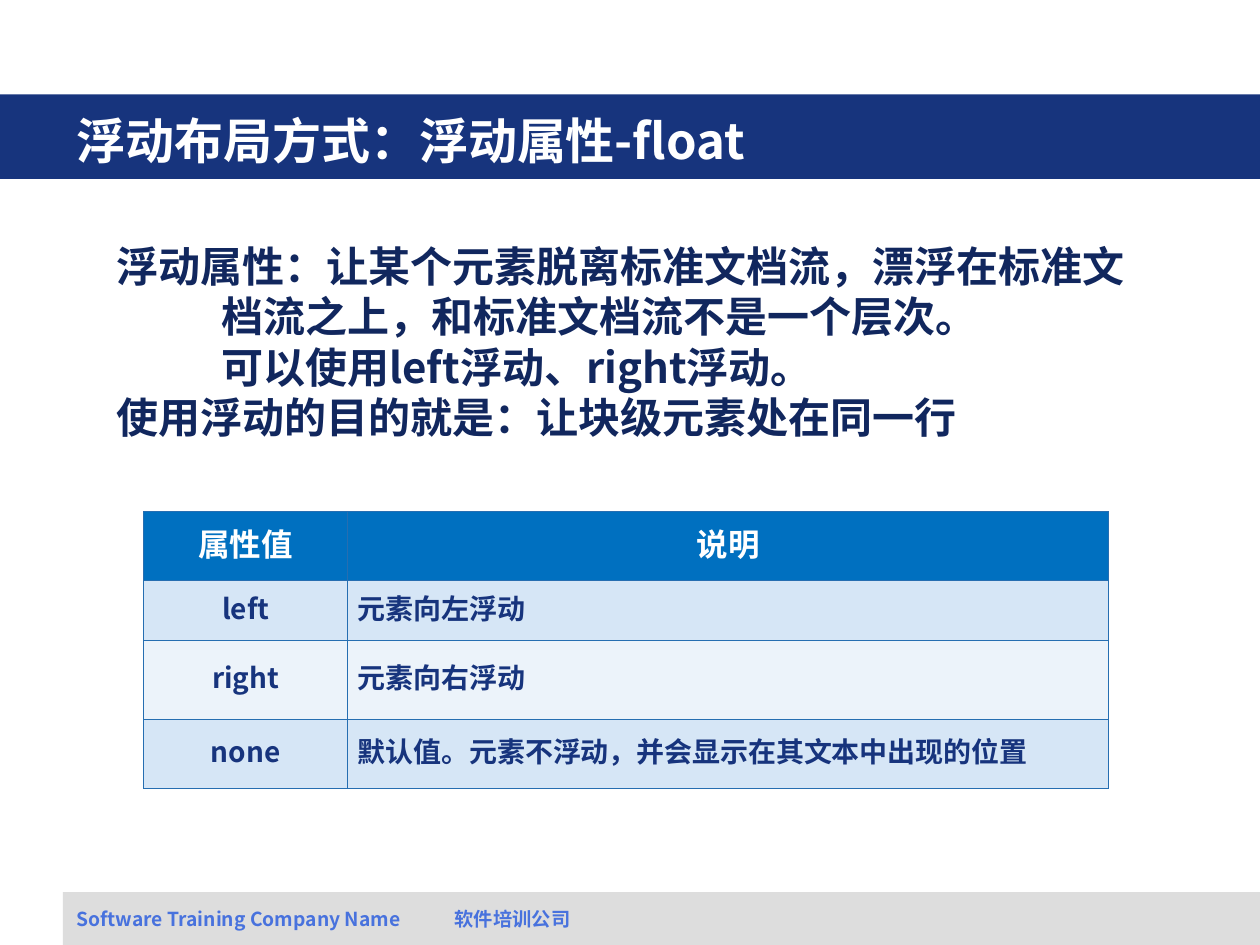
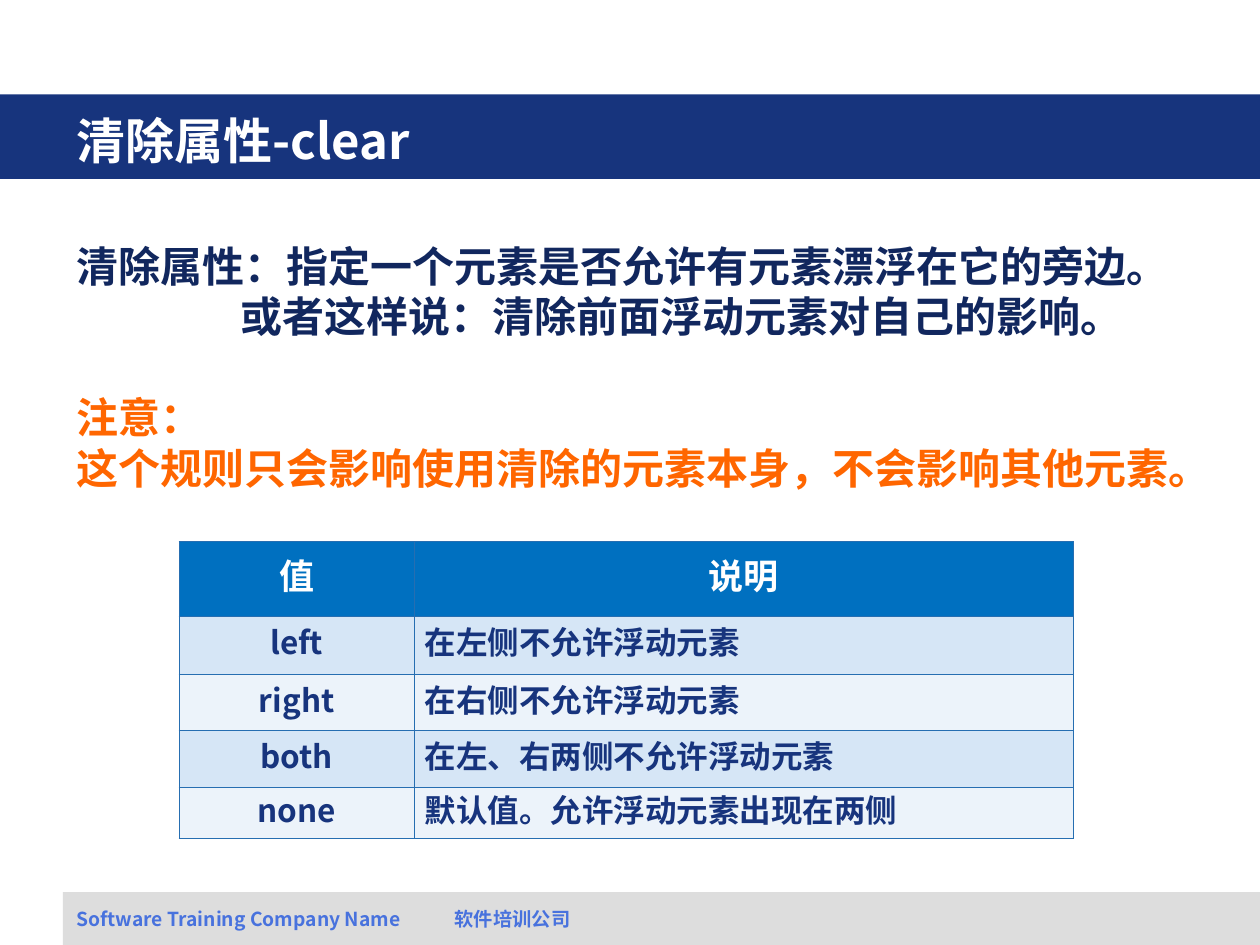
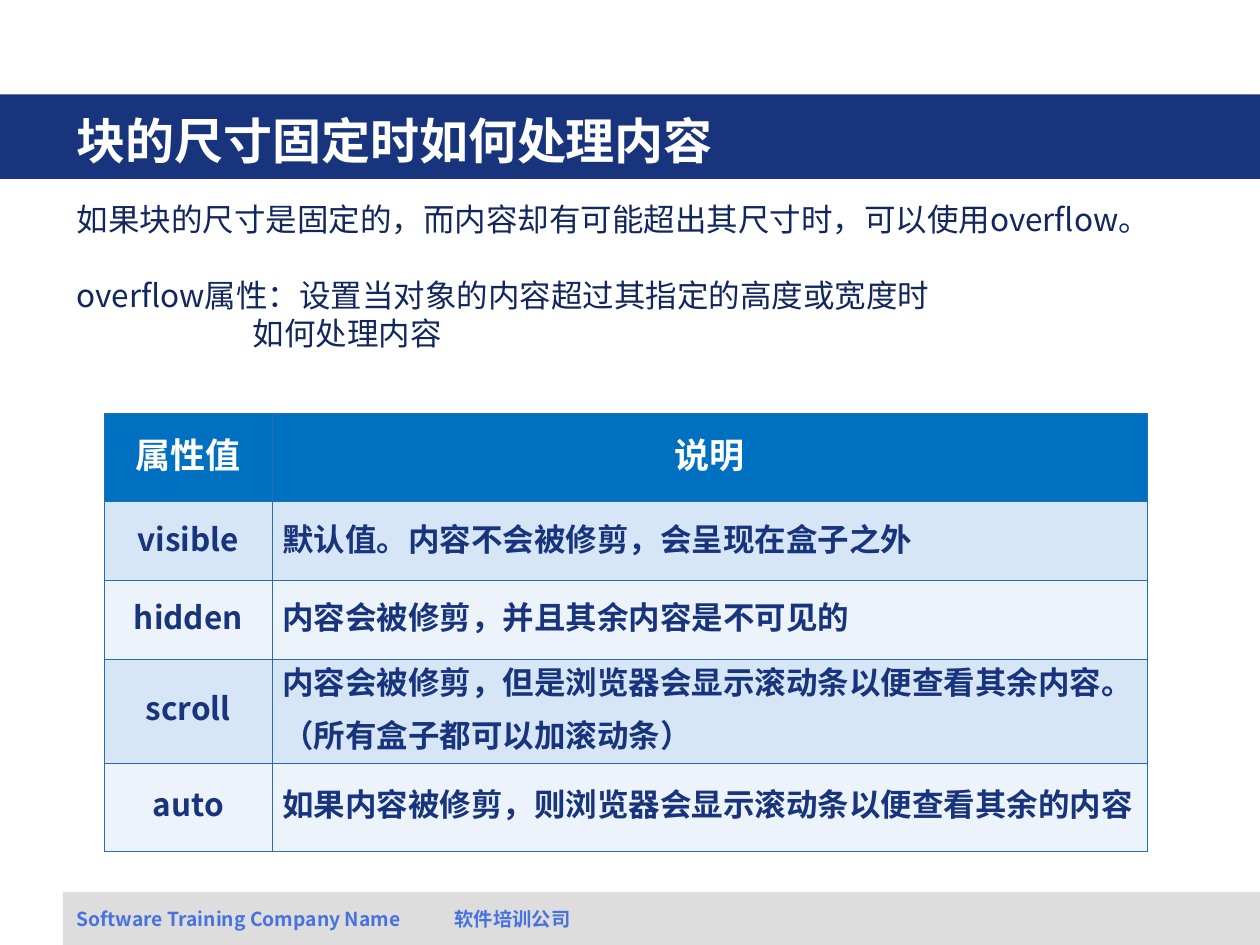
from lxml.etree import SubElement
from pptx import Presentation
from pptx.dml.color import RGBColor
from pptx.enum.shapes import MSO_SHAPE
from pptx.enum.text import MSO_ANCHOR, PP_ALIGN
from pptx.oxml.ns import qn
from pptx.util import Inches, Pt

# The slide is a grid of 10 columns by 7.5 rows, one inch each.
COLUMNS, ROWS = 10, 7.5
MARGIN = 0.51
TEXT_WIDTH = 9.13
FONT = "Noto Sans CJK SC"
LINE_HEIGHT = 1.2

NAVY = "17347D"
INK = "11275E"
WHITE = "FFFFFF"
GREY = "DDDDDD"
FOOTER_BLUE = "4872DD"
ORANGE = "FF6600"
HEADER_BLUE = "0070C0"
BORDER_BLUE = "266EB1"
STRIPES = ("D6E6F6", "ECF3FA")
FOOTER = "Software Training Company Name\t软件培训公司"


def rgb(color):
    return RGBColor.from_string(color)


def box(left, top, width, height):
    return [Inches(length) for length in (left, top, width, height)]


def write(paragraph, text, size=18, color=INK, bold=True, align=PP_ALIGN.LEFT,
          before=0, left=0, first=0, tab=None):
    """Fill a paragraph; left, first and tab are in grid columns, before in points."""
    paragraph.alignment = align
    paragraph.line_spacing = Pt(size * LINE_HEIGHT)
    paragraph.space_before = Pt(before)
    properties = paragraph._p.get_or_add_pPr()
    properties.set("marL", str(Inches(left)))
    properties.set("indent", str(Inches(first)))
    if tab:
        stops = SubElement(properties, qn("a:tabLst"))
        SubElement(stops, qn("a:tab"), pos=str(Inches(tab)), algn="l")
    run = paragraph.add_run()
    run.text = text
    font = run.font
    font.size, font.bold, font.name = Pt(size), bold, FONT
    font.color.rgb = rgb(color)
    SubElement(run._r.get_or_add_rPr(), qn("a:ea"), typeface=FONT)


def add_text(slide, place, lines, anchor=MSO_ANCHOR.TOP, **shared):
    """Add a text box; each line is a pair of text and its own format."""
    frame = slide.shapes.add_textbox(*box(*place)).text_frame
    frame.word_wrap = True
    frame.vertical_anchor = anchor
    for number, (text, own) in enumerate(lines):
        paragraph = frame.add_paragraph() if number else frame.paragraphs[0]
        write(paragraph, text, **{**shared, **own})


def add_band(slide, place, color):
    band = slide.shapes.add_shape(MSO_SHAPE.RECTANGLE, *box(*place))
    band.shadow.inherit = False
    band.fill.solid()
    band.fill.fore_color.rgb = rgb(color)
    band.line.fill.background()


def add_slide(presentation, title):
    slide = presentation.slides.add_slide(presentation.slide_layouts[6])
    add_band(slide, (0.5, 7.08, COLUMNS - 0.5, ROWS - 7.08), GREY)
    add_band(slide, (0, 0.75, COLUMNS, 0.67), NAVY)
    add_text(slide, (MARGIN, 0.8, 8.85, 0.62), [(title, {})],
             anchor=MSO_ANCHOR.MIDDLE, size=28, color=WHITE)
    add_text(slide, (MARGIN, 7.15, TEXT_WIDTH, 0.29), [(FOOTER, {})],
             size=11, color=FOOTER_BLUE, tab=2.69)
    return slide


def draw_borders(cell):
    properties = cell._tc.get_or_add_tcPr()
    for position, side in enumerate(("lnL", "lnR", "lnT", "lnB")):
        line = properties.makeelement(qn(f"a:{side}"), {"w": str(Pt(0.45))})
        fill = SubElement(line, qn("a:solidFill"))
        SubElement(fill, qn("a:srgbClr"), val=BORDER_BLUE)
        properties.insert(position, line)


def fill_cell(cell, text, fill, size, **style):
    cell.fill.solid()
    cell.fill.fore_color.rgb = rgb(fill)
    cell.vertical_anchor = MSO_ANCHOR.MIDDLE
    cell.margin_left = cell.margin_right = Inches(0.08)
    cell.margin_top = cell.margin_bottom = Inches(0.05)
    frame = cell.text_frame
    for number, line in enumerate(text.split("\n")):
        paragraph = frame.add_paragraph() if number else frame.paragraphs[0]
        write(paragraph, line, size=size, before=size / 4 * (number + 1), **style)
    draw_borders(cell)


def add_value_table(slide, left, top, widths, heights, rows, size):
    """Add a table of values and their meaning, under a header two points larger."""
    place = box(left, top, sum(widths), sum(heights))
    table = slide.shapes.add_table(len(rows), len(widths), *place).table
    table.first_row = table.horz_banding = False
    for column, width in zip(table.columns, widths):
        column.width = Inches(width)
    for row, height in zip(table.rows, heights):
        row.height = Inches(height)
    for row_number, texts in enumerate(rows):
        header = row_number == 0
        fill = HEADER_BLUE if header else STRIPES[(row_number - 1) % 2]
        for column_number, text in enumerate(texts):
            centred = header or column_number == 0
            fill_cell(table.cell(row_number, column_number), text, fill,
                      size + 2 if header else size,
                      color=WHITE if header else NAVY,
                      align=PP_ALIGN.CENTER if centred else PP_ALIGN.LEFT)


def add_float_slide(presentation):
    slide = add_slide(presentation, "浮动布局方式：浮动属性-float")
    continued = {"left": 0.83}
    add_text(slide, (0.83, 1.86, 8.27, 2.1), [
        ("浮动属性：让某个元素脱离标准文档流，漂浮在标准文", {}),
        ("档流之上，和标准文档流不是一个层次。", continued),
        ("可以使用left浮动、right浮动。", continued),
        ("使用浮动的目的就是：让块级元素处在同一行", {}),
    ], size=24)
    add_value_table(slide, 1.14, 4.06, (1.62, 6.04), (0.55, 0.47, 0.63, 0.55), [
        ("属性值", "说明"),
        ("left", "元素向左浮动"),
        ("right", "元素向右浮动"),
        ("none", "默认值。元素不浮动，并会显示在其文本中出现的位置"),
    ], size=16)


def add_clear_slide(presentation):
    slide = add_slide(presentation, "清除属性-clear")
    size = 24
    add_text(slide, (MARGIN, 1.86, TEXT_WIDTH, 2.1), [
        ("清除属性：指定一个元素是否允许有元素漂浮在它的旁边。", {}),
        ("或者这样说：清除前面浮动元素对自己的影响。", {"left": 1.3}),
        ("注意：", {"color": ORANGE, "before": size * LINE_HEIGHT}),
        ("这个规则只会影响使用清除的元素本身，不会影响其他元素。",
         {"color": ORANGE, "left": 0.38, "first": -0.38}),
    ], size=size)
    add_value_table(slide, 1.42, 4.3, (1.87, 5.23), (0.59, 0.46, 0.45, 0.45, 0.39), [
        ("值", "说明"),
        ("left", "在左侧不允许浮动元素"),
        ("right", "在右侧不允许浮动元素"),
        ("both", "在左、右两侧不允许浮动元素"),
        ("none", "默认值。允许浮动元素出现在两侧"),
    ], size=18)


def add_overflow_slide(presentation):
    slide = add_slide(presentation, "块的尺寸固定时如何处理内容")
    size = 18
    add_text(slide, (MARGIN, 1.54, TEXT_WIDTH, 1.58), [
        ("如果块的尺寸是固定的，而内容却有可能超出其尺寸时，可以使用overflow。", {}),
        ("overflow属性：设置当对象的内容超过其指定的高度或宽度时",
         {"before": size * LINE_HEIGHT}),
        ("如何处理内容", {"left": 1.4}),
    ], size=size, bold=False)
    add_value_table(slide, 0.83, 3.28, (1.33, 6.95), (0.7, 0.63, 0.62, 0.7, 0.7), [
        ("属性值", "说明"),
        ("visible", "默认值。内容不会被修剪，会呈现在盒子之外"),
        ("hidden", "内容会被修剪，并且其余内容是不可见的"),
        ("scroll", "内容会被修剪，但是浏览器会显示滚动条以便查看其余内容。\n"
                   "（所有盒子都可以加滚动条）"),
        ("auto", "如果内容被修剪，则浏览器会显示滚动条以便查看其余的内容"),
    ], size=size)


def main():
    presentation = Presentation()
    presentation.slide_width = Inches(COLUMNS)
    presentation.slide_height = Inches(ROWS)
    add_float_slide(presentation)
    add_clear_slide(presentation)
    add_overflow_slide(presentation)
    presentation.save("out.pptx")


if __name__ == "__main__":
    main()
